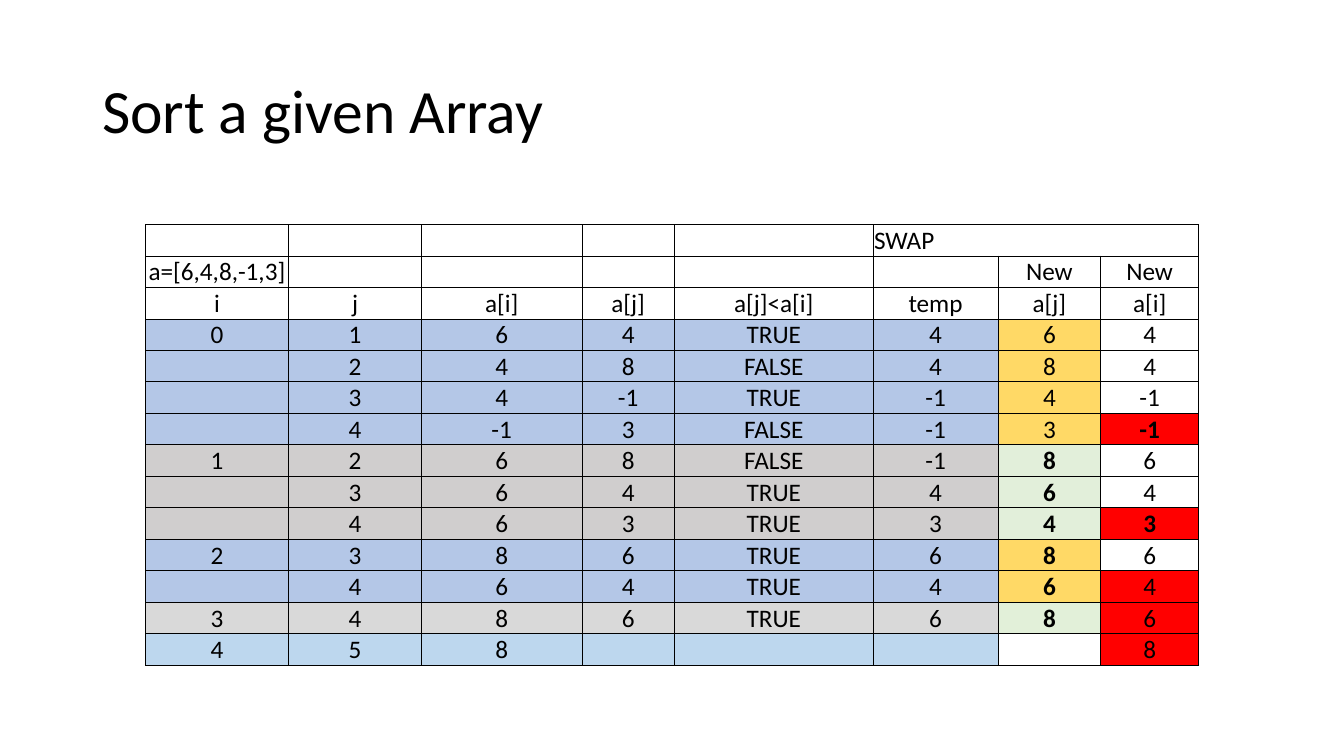
from lxml import etree
from pptx import Presentation
from pptx import util as u
from pptx.dml.color import RGBColor
from pptx.enum import text
from pptx.oxml import ns

FONT = "Calibri"
BLACK = RGBColor(0x00, 0x00, 0x00)
WHITE = RGBColor(0xFF, 0xFF, 0xFF)
RED = RGBColor(0xFF, 0x00, 0x00)
BLUE = RGBColor(0xB4, 0xC7, 0xE7)
GRAY = RGBColor(0xD0, 0xCE, 0xCE)
LIGHT_GRAY = RGBColor(0xD9, 0xD9, 0xD9)
PALE_BLUE = RGBColor(0xBD, 0xD7, 0xEE)
YELLOW = RGBColor(0xFF, 0xD9, 0x66)
GREEN = RGBColor(0xE2, 0xEF, 0xDA)
PALE_GREEN = RGBColor(0xE2, 0xF0, 0xD9)

COLUMN_WIDTHS = [102.24, 95.04, 114.48, 66.24, 141.84, 89.28, 73.44, 69.84]
ROW_HEIGHT = 22.5
SWAP_COLUMN, NEW_J, NEW_I = 5, 6, 7

HEADINGS = [
    ["", "", "", "", "", "SWAP", "", ""],
    ["a=[6,4,8,-1,3]", "", "", "", "", "", "New", "New"],
    ["i", "j", "a[i]", "a[j]", "a[j]<a[i]", "temp", "a[j]", "a[i]"],
]

PASSES = [
    (BLUE, YELLOW, [
        ["0", "1", "6", "4", "TRUE", "4", "6", "4"],
        ["", "2", "4", "8", "FALSE", "4", "8", "4"],
        ["", "3", "4", "-1", "TRUE", "-1", "4", "-1"],
        ["", "4", "-1", "3", "FALSE", "-1", "3", "-1"],
    ]),
    (GRAY, GREEN, [
        ["1", "2", "6", "8", "FALSE", "-1", "8", "6"],
        ["", "3", "6", "4", "TRUE", "4", "6", "4"],
        ["", "4", "6", "3", "TRUE", "3", "4", "3"],
    ]),
    (BLUE, YELLOW, [
        ["2", "3", "8", "6", "TRUE", "6", "8", "6"],
        ["", "4", "6", "4", "TRUE", "4", "6", "4"],
    ]),
    (LIGHT_GRAY, PALE_GREEN, [
        ["3", "4", "8", "6", "TRUE", "6", "8", "6"],
    ]),
    (PALE_BLUE, WHITE, [
        ["4", "5", "8", "", "", "", "", "8"],
    ]),
]


def add_run(para, words, size, bold=False):
    span = para.add_run()
    span.text = words
    span.font.name = FONT
    span.font.size = u.Pt(size)
    span.font.bold = bold
    span.font.color.rgb = BLACK


def add_title(page, words):
    box = page.shapes.add_textbox(u.Pt(66), u.Pt(28.75), u.Pt(828), u.Pt(104.4))
    frame = box.text_frame
    frame.word_wrap = True
    frame.vertical_anchor = text.MSO_ANCHOR.MIDDLE
    para = frame.paragraphs[0]
    para.line_spacing = 0.9
    add_run(para, words, 44)


def add_borders(cell):
    properties = cell._tc.get_or_add_tcPr()
    for side in ("a:lnL", "a:lnR", "a:lnT", "a:lnB"):
        line = etree.SubElement(properties, ns.qn(side), w=str(u.Pt(0.5)))
        fill = etree.SubElement(line, ns.qn("a:solidFill"))
        etree.SubElement(fill, ns.qn("a:srgbClr"), val=str(BLACK))


def fill_cell(cell, words, color=None, bold=False, centered=True):
    add_borders(cell)
    if color is None:
        cell.fill.background()
    else:
        cell.fill.solid()
        cell.fill.fore_color.rgb = color
    cell.margin_left = cell.margin_right = cell.margin_top = u.Pt(0.72)
    cell.margin_bottom = 0
    cell.vertical_anchor = text.MSO_ANCHOR.BOTTOM
    para = cell.text_frame.paragraphs[0]
    if centered:
        para.alignment = text.PP_ALIGN.CENTER
    if words:
        add_run(para, words, 18, bold)


def add_trace_table(page):
    row_count = len(HEADINGS) + sum(len(steps) for _, _, steps in PASSES)
    table = page.shapes.add_table(
        row_count, len(COLUMN_WIDTHS), u.Pt(103.9), u.Pt(160.3),
        u.Pt(sum(COLUMN_WIDTHS)), u.Pt(row_count * ROW_HEIGHT)).table
    table.first_row = table.horz_banding = False
    for column, width in zip(table.columns, COLUMN_WIDTHS):
        column.width = u.Pt(width)
    for row in table.rows:
        row.height = u.Pt(ROW_HEIGHT)

    for row, heading in enumerate(HEADINGS):
        for column, words in enumerate(heading):
            fill_cell(table.cell(row, column), words, centered=row > 0)
    table.cell(0, SWAP_COLUMN).merge(table.cell(0, NEW_I))

    row = len(HEADINGS)
    for number, (pass_color, new_color, steps) in enumerate(PASSES):
        for step in steps:
            settled = step is steps[-1]
            colors = [pass_color] * NEW_J + [new_color, RED if settled else None]
            bold_columns = {NEW_J} if number > 0 else set()
            if settled and number < 2:
                bold_columns.add(NEW_I)
            for column, (words, color) in enumerate(zip(step, colors)):
                fill_cell(table.cell(row, column), words, color, column in bold_columns)
            row += 1


def main():
    deck = Presentation()
    deck.slide_width, deck.slide_height = u.Pt(960), u.Pt(540)
    page = deck.slides.add_slide(deck.slide_layouts[6])
    add_title(page, "Sort a given Array")
    add_trace_table(page)
    deck.save("out.pptx")


main()
